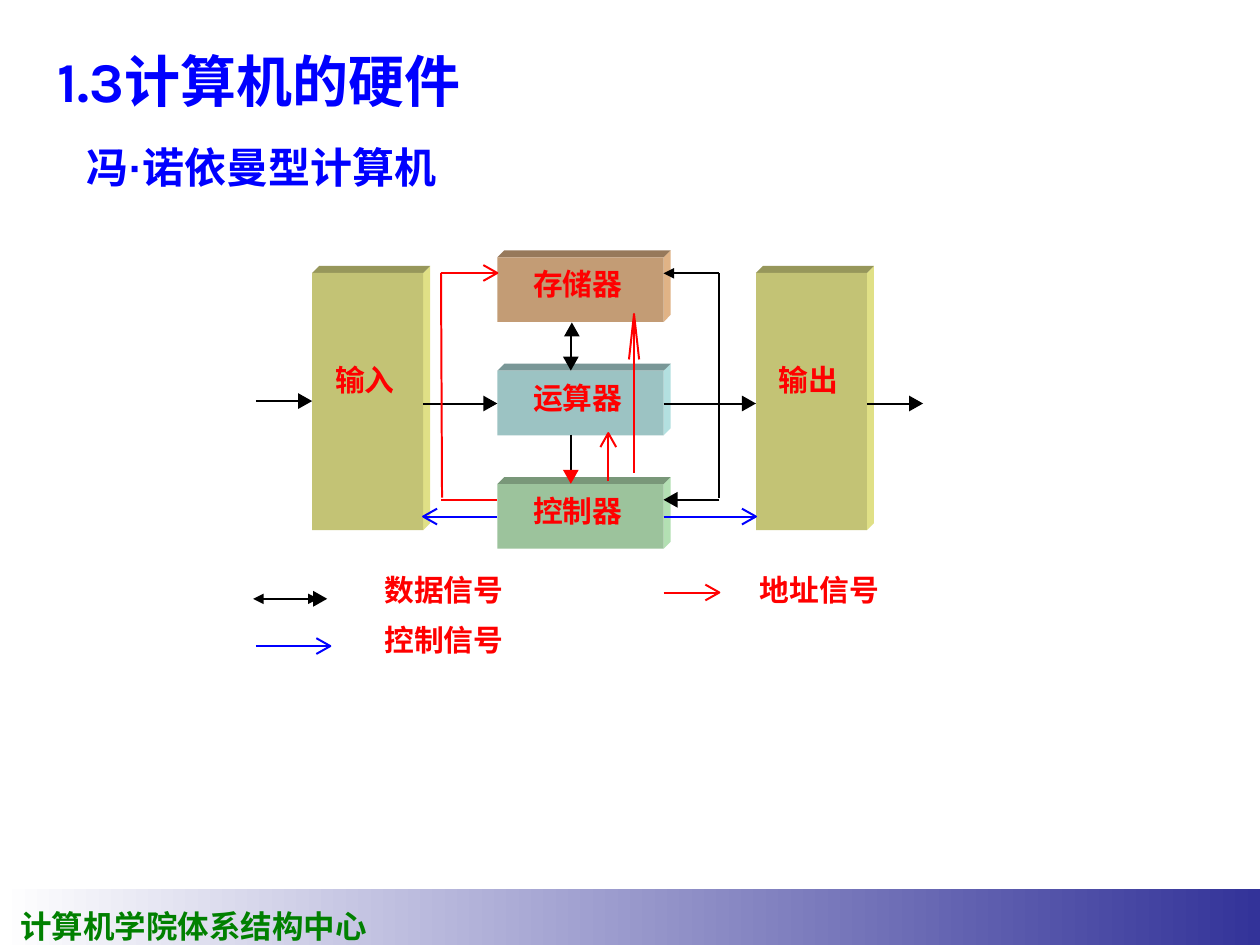
from math import hypot

from lxml import etree
from pptx import Presentation
from pptx import util as u
from pptx.dml import color
from pptx.enum import shapes, text
from pptx.oxml import ns

BLACK, RED, BLUE, GREEN = "000000", "FF0000", "0000FF", "008000"
CJK = "Noto Sans CJK SC"


def rgb(code):
    return color.RGBColor.from_string(code)


class Page:
    """Draws styled elements on one slide, with all lengths in points."""

    def __init__(self, slide, font=CJK, size=17, weight=1.13, depth=4):
        self.slide = slide
        self.font = font
        self.size = size
        self.weight = weight
        self.depth = depth

    def bar(self, x, y, w, h, start, end):
        bar = self.rect(x, y, w, h, start)
        bar.fill.gradient()
        bar.fill.gradient_angle = 0
        for stop, place, hue in zip(bar.fill.gradient_stops, (0, 1), (start, end)):
            stop.position = place
            stop.color.rgb = rgb(hue)

    def rect(self, x, y, w, h, fill):
        box = self.slide.shapes.add_shape(
            shapes.MSO_SHAPE.RECTANGLE, u.Pt(x), u.Pt(y), u.Pt(w), u.Pt(h))
        box.shadow.inherit = False
        box.fill.solid()
        box.fill.fore_color.rgb = rgb(fill)
        box.line.fill.background()
        return box

    def shape(self, points, hue, solid=True):
        spots = [(u.Pt(x), u.Pt(y)) for x, y in points]
        form = self.slide.shapes.build_freeform(*spots[0])
        form.add_line_segments(spots[1:], close=solid)
        item = form.convert_to_shape()
        item.shadow.inherit = False
        if solid:
            item.fill.solid()
            item.fill.fore_color.rgb = rgb(hue)
            item.line.fill.background()
        else:
            item.fill.background()
            item.line.color.rgb = rgb(hue)
            item.line.width = u.Pt(self.weight)

    def label(self, x, y, w, h, parts, hue=RED, font=None, size=None,
              inset=(0, 0), wrap=False, anchor=text.MSO_ANCHOR.TOP):
        frame = self.slide.shapes.add_textbox(
            u.Pt(x), u.Pt(y), u.Pt(w), u.Pt(h)).text_frame
        frame.word_wrap = wrap
        if not wrap:
            frame.auto_size = text.MSO_AUTO_SIZE.SHAPE_TO_FIT_TEXT
        frame.vertical_anchor = anchor
        frame.margin_left = frame.margin_right = u.Pt(inset[0])
        frame.margin_top = frame.margin_bottom = u.Pt(inset[1])
        for part, face in parts if isinstance(parts, list) else [(parts, font)]:
            run = frame.paragraphs[0].add_run()
            run.text = part
            run.font.name = face or self.font
            run.font.size = u.Pt(size or self.size)
            run.font.bold = True
            run.font.color.rgb = rgb(hue)
            east = etree.SubElement(run.font._element, ns.qn("a:ea"))
            east.set("typeface", CJK)

    def block(self, x, y, w, h, drop, name, front, top, side):
        d, right = self.depth, x + w
        self.shape([(right, y + h), (right, y), (right + d, y - d),
                    (right + d, y + h - d)], side)
        self.shape([(right, y), (x, y), (x + d, y - d), (right + d, y - d)], top)
        self.rect(x, y, w, h, front)
        wide = self.size * len(name) + 2
        self.label(x + (w - wide) / 2 - 0.6, y + drop, wide, 20.2, name)

    def line(self, x1, y1, x2, y2, hue=BLACK, ends=()):
        line = self.slide.shapes.add_connector(
            shapes.MSO_CONNECTOR.STRAIGHT, u.Pt(x1), u.Pt(y1), u.Pt(x2), u.Pt(y2))
        line.line.color.rgb = rgb(hue)
        line.line.width = u.Pt(self.weight)
        for end in ends:
            mark = etree.SubElement(line.line._get_or_add_ln(), ns.qn("a:" + end))
            mark.set("type", "triangle")
        etree.SubElement(line._element.spPr, ns.qn("a:effectLst"))

    def tip(self, x, y, dx, dy, hue=BLACK, solid=True, long=8, half=4.5):
        bx, by = x - dx * long, y - dy * long
        self.shape([(bx - dy * half, by + dx * half), (x, y),
                    (bx + dy * half, by - dx * half)], hue, solid)

    def arrow(self, x1, y1, x2, y2, hue=BLACK, solid=True, ends=(), tint=None, **head):
        span = hypot(x2 - x1, y2 - y1)
        dx, dy = (x2 - x1) / span, (y2 - y1) / span
        gap = 5 if solid else 0
        self.line(x1, y1, x2 - dx * gap, y2 - dy * gap, hue, ends)
        self.tip(x2, y2, dx, dy, tint or hue, solid, **head)


def main():
    deck = Presentation()
    deck.slide_width, deck.slide_height = u.Pt(720), u.Pt(540)
    page = Page(deck.slides.add_slide(deck.slide_layouts[6]))

    page.bar(0, 508.3, 720, 31.7, "FFFFFF", "333399")
    page.label(4.6, 514.9, 214, 29, "计算机学院体系结构中心", GREEN,
               "Times New Roman", 18, (7.2, 3.6))
    page.label(25.6, 31.7, 425, 36.7, "1.3计算机的硬件", BLUE, "Karla", 32,
               (7.2, 3.6), True, text.MSO_ANCHOR.BOTTOM)
    page.label(42.6, 77.3, 318, 347,
               [("冯", "Karla"), ("·", "Arial"), ("诺依曼型计算机", "Karla")],
               BLUE, size=24, inset=(7.2, 3.6), wrap=True)

    left, right, mid, edge = 178.4, 432, 284.2, 379.2
    units = [("存储器", "C39C75", "97795B", "E0B386"),
             ("运算器", "9CC3C3", "799797", "B3E0E0"),
             ("控制器", "9CC39C", "799779", "B3E0B3")]
    for row, unit in enumerate(units):
        page.block(mid, 147 + 64.8 * row, edge - mid, 37, 5, *unit)
    for x, name in ((left, "输入"), (right, "输出")):
        page.block(x, 156, 63.4, 147, 50.6, name, "C3C375", "97975B", "E0E086")

    for x, y, name in ((219.6, 326.9, "数据信号"), (219.6, 355, "控制信号"),
                       (434.2, 326.9, "地址信号")):
        page.label(x, y, 68.4, 20.2, name)

    data = 230.6
    page.arrow(146.2, 229.2, left, 229.2)
    page.arrow(left + 63.4, data, mid, data)
    page.arrow(edge, data, right, data)
    page.arrow(right + 63.4, data, 527.5, data)
    page.arrow(411.1, 285.6, edge, 285.6)
    page.line(edge, 156.2, 411.1, 156.2, ends=["headEnd"])
    page.line(411.1, 156.2, 411.1, 284.4)
    page.arrow(326.2, 189, 326.2, 211.8)
    page.tip(326.8, 184.3, 0, -1)
    page.arrow(326.2, 248.4, 326.2, 276.5, tint=RED)

    page.arrow(252.3, 156, mid, 156, RED, False)
    page.line(252, 156, 252.6, 284.4, RED)
    page.line(252.3, 285.8, mid, 285.8, RED)
    page.arrow(347.6, 275, 347.6, 247.5, RED, False)
    page.arrow(362.3, 270, 362.3, 179.4, RED, False, long=26, half=2.9)
    page.arrow(mid, 295.2, left + 63.4, 295.2, BLUE, False)
    page.arrow(edge, 295.2, right, 295.2, BLUE, False)

    page.arrow(144.7, 342.2, 187, 342.2, ends=["headEnd", "tailEnd"])
    page.arrow(146.2, 369.2, 188.8, 369.2, BLUE, False)
    page.arrow(edge, 338.6, 411.1, 338.6, RED, False)
    deck.save("out.pptx")


if __name__ == "__main__":
    main()
